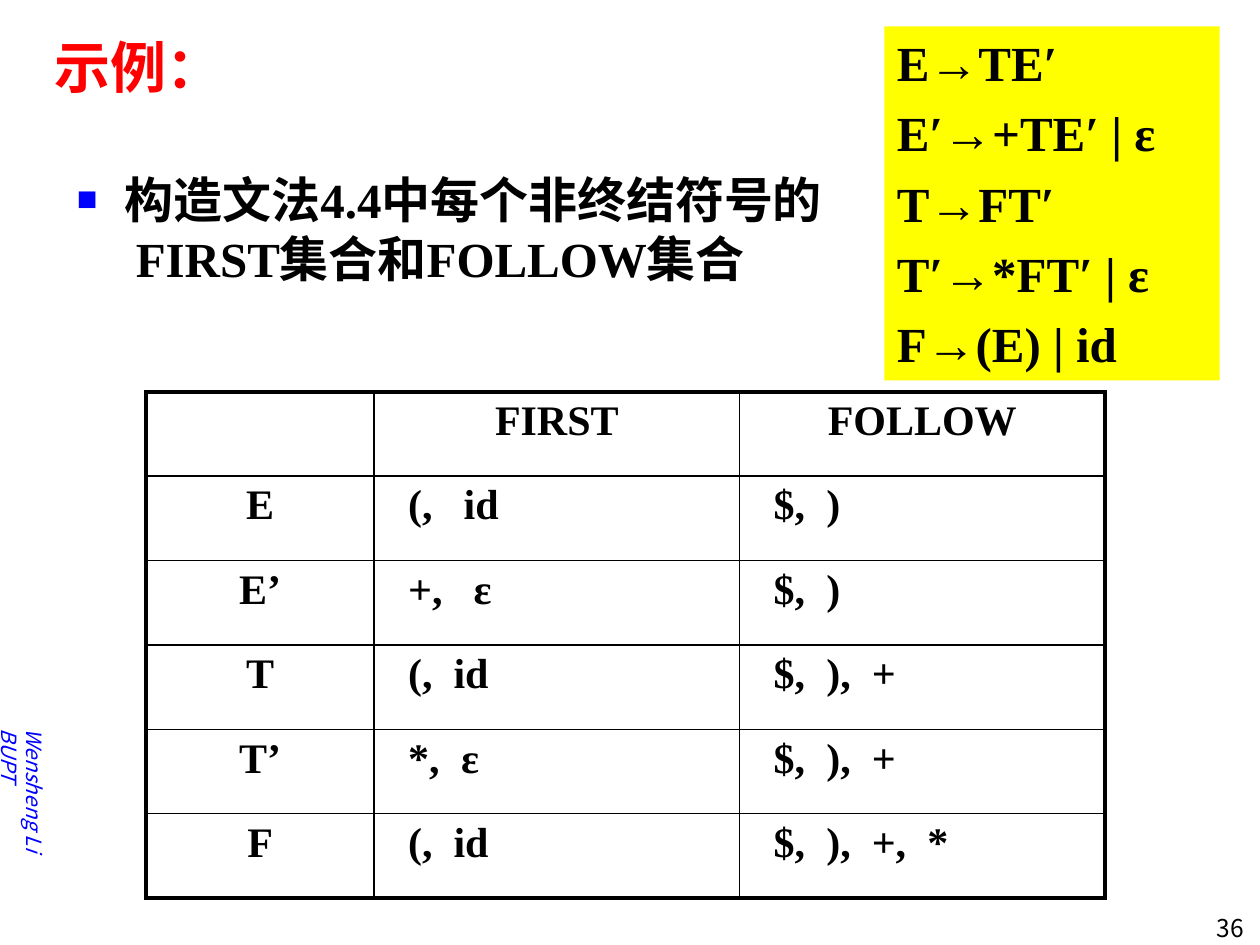
from lxml.etree import SubElement
from pptx import Presentation
from pptx.dml.color import RGBColor
from pptx.enum.shapes import MSO_SHAPE
from pptx.enum.text import MSO_ANCHOR, MSO_AUTO_SIZE, PP_ALIGN
from pptx.oxml.ns import qn
from pptx.util import Inches, Pt

BLACK = RGBColor(0, 0, 0)
RED = RGBColor(255, 0, 0)
BLUE = RGBColor(0, 0, 255)
YELLOW = RGBColor(255, 255, 0)
SERIF = "Times New Roman"
SANS = "Noto Sans CJK SC"

TITLE = {"name": SERIF, "size": Pt(32), "bold": True, "color": RED}
BODY = {"name": SERIF, "size": Pt(28), "bold": True, "color": BLACK}
CELL = {"name": SERIF, "size": Pt(24), "bold": True, "color": BLACK}
FOOTER = {"name": SANS, "size": Pt(12), "italic": True, "color": BLUE}
NUMBER = {"name": SANS, "size": Pt(14), "color": BLACK}


def format_text(paragraph, values):
    for run in paragraph.runs:
        for name, value in values.items():
            if name == "color":
                run.font.color.rgb = value
            else:
                setattr(run.font, name, value)
        SubElement(run.font._element, qn("a:ea"), typeface=SANS)


def add_tabs(paragraph, stops):
    tab_list = SubElement(paragraph._p.get_or_add_pPr(), qn("a:tabLst"))
    for stop in stops:
        SubElement(tab_list, qn("a:tab"), pos=str(Inches(stop)), algn="l")


presentation = Presentation()
presentation.slide_width = Inches(10)
presentation.slide_height = Inches(7.5)
slide = presentation.slides.add_slide(presentation.slide_layouts[1])

title, body = slide.placeholders
placeholders = [
    (title, "示例：", TITLE, 41, (0.33, 0.17, 9.42, 1.22)),
    (body, "构造文法4.4中每个非终结符号的\v FIRST集合和FOLLOW集合", BODY, 34,
     (0.51, 1.29, 9.03, 1.57)),
]
for shape, text, values, spacing, box in placeholders:
    shape.left, shape.top, shape.width, shape.height = map(Inches, box)
    frame = shape.text_frame
    frame.text = text
    frame.auto_size = MSO_AUTO_SIZE.NONE
    frame.vertical_anchor = MSO_ANCHOR.TOP
    paragraph = frame.paragraphs[0]
    paragraph.alignment = PP_ALIGN.LEFT
    paragraph.line_spacing = Pt(spacing)
    paragraph.space_before = Pt(0)
    format_text(paragraph, values)

properties = body.text_frame.paragraphs[0]._p.get_or_add_pPr()
properties.set("marL", str(Inches(0.38)))
properties.set("indent", str(-Inches(0.38)))
bullet_color = SubElement(properties, qn("a:buClr"))
SubElement(bullet_color, qn("a:srgbClr"), val=str(BLUE))
SubElement(properties, qn("a:buSzPct"), val="70000")
SubElement(properties, qn("a:buChar"), char="■")

footer = slide.shapes.add_textbox(Inches(-1.14), Inches(6), Inches(2.64), Inches(0.3))
footer.rotation = 90
frame = footer.text_frame
frame.word_wrap = True
frame.vertical_anchor = MSO_ANCHOR.MIDDLE
frame.margin_left = Inches(0.95)
frame.text = "Wensheng Li\tBUPT"
add_tabs(frame.paragraphs[0], [1.17])
format_text(frame.paragraphs[0], FOOTER)

number = slide.shapes.add_textbox(Inches(8.99), Inches(7.2), Inches(0.98), Inches(0.3))
number.text_frame.word_wrap = True
number.text_frame.text = "36"
number.text_frame.paragraphs[0].alignment = PP_ALIGN.RIGHT
format_text(number.text_frame.paragraphs[0], NUMBER)

grammar = slide.shapes.add_shape(
    MSO_SHAPE.RECTANGLE, Inches(7.02), Inches(0.21), Inches(2.66), Inches(2.81))
grammar.shadow.inherit = False
grammar.fill.solid()
grammar.fill.fore_color.rgb = YELLOW
grammar.line.fill.background()
frame = grammar.text_frame
frame.vertical_anchor = MSO_ANCHOR.TOP
frame.text = "E→TE′\nE′→+TE′ | ε\nT→FT′\nT′→*FT′ | ε\nF→(E) | id"
for index, paragraph in enumerate(frame.paragraphs):
    paragraph.alignment = PP_ALIGN.JUSTIFY
    paragraph.space_before = Pt(6.5 if index else 0)
    format_text(paragraph, BODY)

rows = [
    ("", "FIRST", "FOLLOW", None),
    ("E", "(,\tid", "$,\t)", 0.44),
    ("E’", "+,\tε", "$,\t)", 0.52),
    ("T", "(,\tid", "$,\t),\t+", 0.36),
    ("T’", "*,\tε", "$,\t),\t+", 0.42),
    ("F", "(,\tid", "$,\t),\t+,\t*", 0.36),
]
follow_stops = [0.42, 0.78, 1.22]
widths = [1.81, 2.9, 2.9]
table = slide.shapes.add_table(
    len(rows), len(widths), Inches(1.16), Inches(3.11), Inches(7.61), Inches(4.02)).table
table.first_row = False
table.horz_banding = False
for column, width in zip(table.columns, widths):
    column.width = Inches(width)

for row_index, (*texts, first_stop) in enumerate(rows):
    table.rows[row_index].height = Inches(0.67)
    for column_index, text in enumerate(texts):
        cell = table.cell(row_index, column_index)
        cell.text = text
        paragraph = cell.text_frame.paragraphs[0]
        if row_index == 0 or column_index == 0:
            paragraph.alignment = PP_ALIGN.CENTER
        else:
            cell.margin_left = Inches(0.27)
            add_tabs(paragraph, [first_stop] if column_index == 1 else follow_stops)
        format_text(paragraph, CELL)
        outer_edges = {
            "a:lnL": column_index == 0,
            "a:lnR": column_index == len(widths) - 1,
            "a:lnT": row_index == 0,
            "a:lnB": row_index == len(rows) - 1,
        }
        cell_properties = cell._tc.get_or_add_tcPr()
        for edge, outer in outer_edges.items():
            line = SubElement(cell_properties, qn(edge), w=str(Pt(2.25 if outer else 1)))
            line_fill = SubElement(line, qn("a:solidFill"))
            SubElement(line_fill, qn("a:srgbClr"), val=str(BLACK))
        cell.fill.background()

presentation.save("out.pptx")
